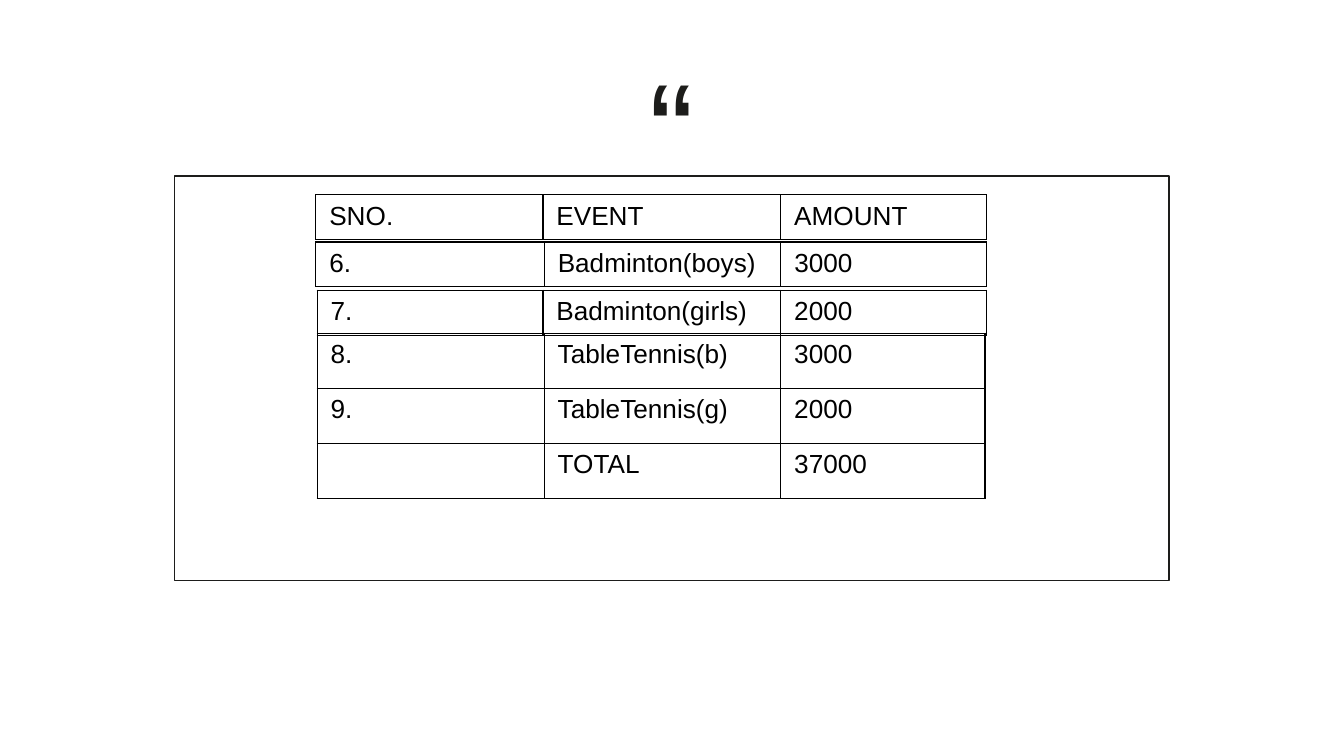
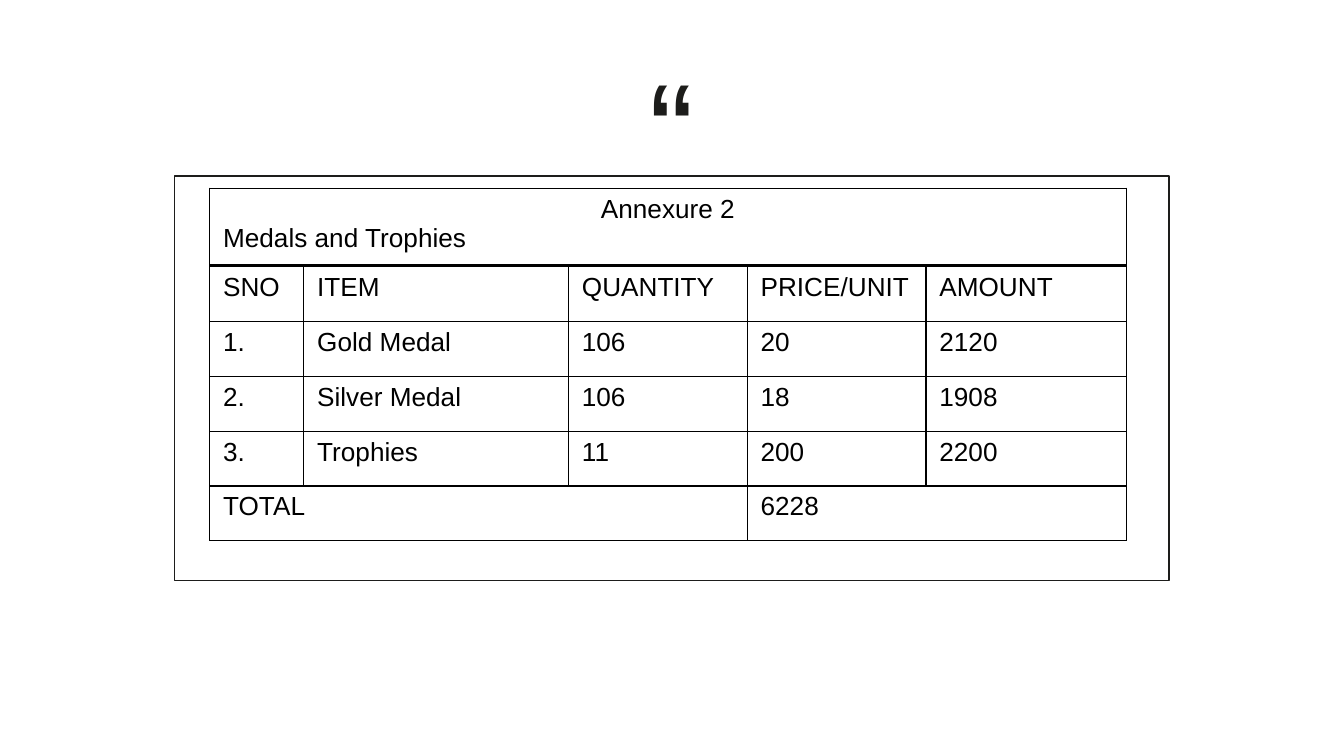
from lxml import etree
from pptx import Presentation
from pptx import util as u
from pptx.dml.color import RGBColor
from pptx.enum import shapes, text
from pptx.oxml import ns

HUES = {"ink": "1D1D1B", "grid": "000000", "page": "FFFFFF"}
FONT = "Arial"
EDGE = 0.75
WIDE = 10
LOW, MID, TALL = 0.29, 0.32, 0.41  # row heights


def hue(name):
    return RGBColor.from_string(HUES[name])


def style(font, size, color):
    look = {"name": FONT, "size": u.Pt(size), "bold": False}
    for key, val in look.items():
        setattr(font, key, val)
    font.color.rgb = hue(color)


def inches(*vals):
    return [u.Inches(v) for v in vals]


# Shared parts: page, frame and quote mark
def add_frame(slide):
    box = slide.shapes.add_shape(shapes.MSO_SHAPE.RECTANGLE,
                                 *inches(1.3, 1.31, 7.4, 3.01))
    box.shadow.inherit = False
    box.fill.background()
    box.line.color.rgb = hue("ink")
    box.line.width = u.Pt(EDGE)


def add_quote(slide):
    frame = slide.shapes.add_textbox(*inches(3.93, 0.23, 2.14, 1.07)).text_frame
    look = {"word_wrap": True, "vertical_anchor": text.MSO_ANCHOR.TOP}
    for side in ("left", "right", "top", "bottom"):
        look[f"margin_{side}"] = u.Inches(0.1)
    for key, val in look.items():
        setattr(frame, key, val)
    para = frame.paragraphs[0]
    para.alignment = text.PP_ALIGN.CENTER
    run = para.add_run()
    run.text = "“"
    style(run.font, 72, "ink")


def new_slide(deck):
    slide = deck.slides.add_slide(deck.slide_layouts[6])
    slide.background.fill.solid()
    slide.background.fill.fore_color.rgb = hue("page")
    add_frame(slide)
    add_quote(slide)
    return slide


# Tables
def add_edges(cell):
    props = cell._tc.get_or_add_tcPr()
    for side in ("lnL", "lnR", "lnT", "lnB"):
        line = etree.SubElement(props, ns.qn(f"a:{side}"), w=str(u.Pt(EDGE)))
        fill = etree.SubElement(line, ns.qn("a:solidFill"))
        etree.SubElement(fill, ns.qn("a:srgbClr"), val=HUES["grid"])


def fill_cell(cell, words):
    add_edges(cell)
    cell.fill.background()
    cell.text = words
    for para in cell.text_frame.paragraphs:
        for run in para.runs:
            style(run.font, 14, "grid")


def add_grid(slide, left, top, cols, high, rows):
    size = inches(left, top, sum(cols), high * len(rows))
    grid = slide.shapes.add_table(len(rows), len(cols), *size).table
    grid.first_row = grid.horz_banding = False
    for col, wide in zip(grid.columns, cols):
        col.width = u.Inches(wide)
    for r, row in enumerate(rows):
        grid.rows[r].height = u.Inches(high)
        for c, words in enumerate(row):
            fill_cell(grid.cell(r, c), words)
    return grid


def add_events(slide):
    add_grid(slide, 2.35, 1.45, (1.69, 1.77, 1.53), MID,
             [("SNO.", "EVENT", "AMOUNT")])
    add_grid(slide, 2.35, 1.8, (1.7, 1.76, 1.53), LOW,
             [("6.", "Badminton(boys)", "3000")])
    add_grid(slide, 2.36, 2.16, (1.68, 1.77, 1.53), LOW,
             [("7.", "Badminton(girls)", "2000")])
    add_grid(slide, 2.36, 2.48, (1.69, 1.76, 1.52), TALL,
             [("8.", "TableTennis(b)", "3000"),
              ("9.", "TableTennis(g)", "2000"),
              ("", "TOTAL", "37000")])


def add_medals(slide):
    left = 1.56
    head = add_grid(slide, left, 1.4, (6.82,), TALL,
                    [("Annexure 2\nMedals and Trophies",)])
    first = head.cell(0, 0).text_frame.paragraphs[0]
    first.alignment = text.PP_ALIGN.CENTER
    add_grid(slide, left, 1.98, (0.7, 1.97, 1.33, 1.33, 1.49), TALL,
             [("SNO", "ITEM", "QUANTITY", "PRICE/UNIT", "AMOUNT"),
              ("1.", "Gold Medal", "106", "20", "2120"),
              ("2.", "Silver Medal", "106", "18", "1908"),
              ("3.", "Trophies", "11", "200", "2200")])
    add_grid(slide, left, 3.61, (4, 2.82), TALL, [("TOTAL", "6228")])


def main():
    deck = Presentation()
    deck.slide_width, deck.slide_height = inches(WIDE, WIDE * 9 / 16)
    for build in (add_events, add_medals):
        build(new_slide(deck))
    deck.save("out.pptx")


if __name__ == "__main__":
    main()
